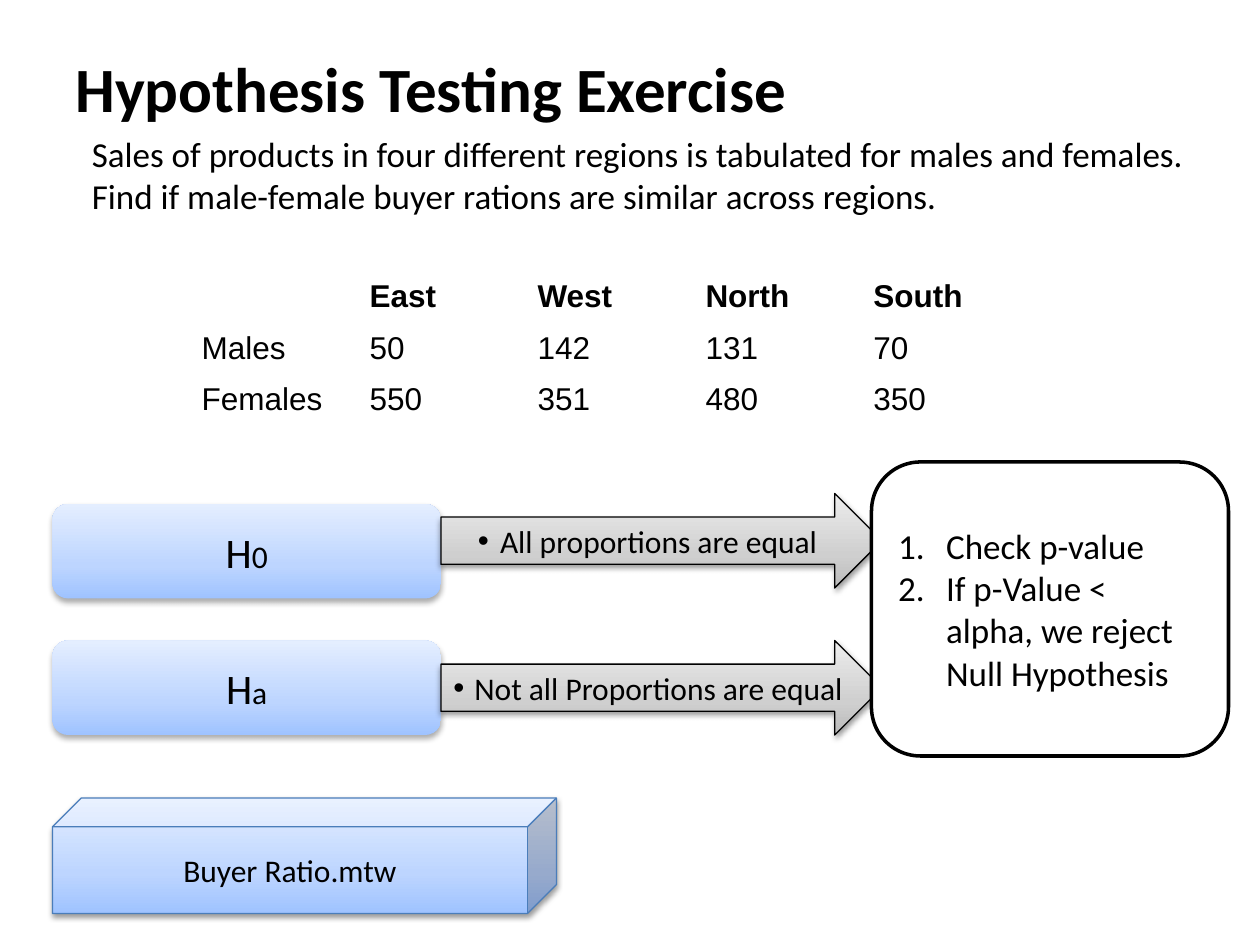
"""Build the hypothesis testing exercise slide."""
import lxml.etree
import copy
import dataclasses
import pptx
import pptx.dml.color
import pptx.enum.shapes
import pptx.enum.text
import pptx.oxml
import pptx.oxml.ns
import pptx.util


@dataclasses.dataclass(frozen=True)
class Theme:
    """Colours, fonts and type sizes."""
    ink: str = "000000"
    paper: str = "FFFFFF"
    edge: str = "4A7DBA"
    blue: tuple = ("9FC3FF", "BDD5FF", "E4EEFF")
    grey: tuple = ("BABABA", "CFCFCF", "EDEDED")
    body_font: str = "Calibri"
    table_font: str = "Arial"
    title: int = 36
    symbol: int = 24
    lead: int = 20
    label: int = 18


theme = Theme()
rgb = pptx.dml.color.RGBColor.from_string
qn = pptx.oxml.ns.qn
kinds = pptx.enum.shapes.MSO_SHAPE
align = pptx.enum.text.PP_ALIGN
middle = pptx.enum.text.MSO_ANCHOR.MIDDLE

deck = pptx.Presentation()
deck.slide_width = pptx.util.Inches(10)
deck.slide_height = pptx.util.Inches(7.5)
cell = deck.slide_width // 120
slide = deck.slides.add_slide(deck.slide_layouts[6])


def style(paragraph, size, font=theme.body_font, bold=False, hang=None, bullet=None):
    """Format the runs, the indent as (margin, first line) and the bullet."""
    for run in paragraph.runs:
        run.font.size = pptx.util.Pt(size)
        run.font.name = font
        run.font.bold = bold
        run.font.color.rgb = rgb(theme.ink)
    properties = paragraph._p.get_or_add_pPr()
    if hang:
        properties.set("marL", str(pptx.util.Inches(hang[0])))
        properties.set("indent", str(pptx.util.Inches(hang[1])))
    if bullet:
        colour = lxml.etree.SubElement(properties, qn("a:buClr"))
        lxml.etree.SubElement(colour, qn("a:srgbClr"), val=theme.ink)
        face = "+mj-lt" if bullet[0] == "a:buAutoNum" else theme.table_font
        lxml.etree.SubElement(properties, qn("a:buFont"), typeface=face)
        lxml.etree.SubElement(properties, qn(bullet[0]), **bullet[1])


def add_block(kind, box, colours, line, shadow=None):
    """Add a shape on the grid; shadow is (opacity %, blur pt, distance pt)."""
    block = slide.shapes.add_shape(kind, *(cell * n for n in box))
    if len(colours) == 1:
        block.fill.solid()
        block.fill.fore_color.rgb = rgb(colours[0])
    else:
        block.fill.gradient()
        block.fill.gradient_angle = 90
        stops = block._element.spPr.find(qn("a:gradFill")).find(qn("a:gsLst"))
        while len(stops) < len(colours):
            stops.append(copy.deepcopy(stops[0]))
        for stop, colour, position in zip(block.fill.gradient_stops, colours, (0, 0.35, 1)):
            stop.color.rgb = rgb(colour)
            stop.position = position
    if line:
        block.line.color.rgb = rgb(line[0])
        block.line.width = pptx.util.Pt(line[1])
    else:
        block.line.fill.background()
    block.shadow.inherit = False
    if shadow:
        opacity, blur, distance = shadow
        outer = lxml.etree.SubElement(
            block._element.spPr.find(qn("a:effectLst")), qn("a:outerShdw"),
            blurRad=str(pptx.util.Pt(blur)), dist=str(pptx.util.Pt(distance)),
            dir="5400000", rotWithShape="0")
        tint = lxml.etree.SubElement(outer, qn("a:srgbClr"), val=theme.ink)
        lxml.etree.SubElement(tint, qn("a:alpha"), val=str(opacity * 1000))
    block.text_frame.word_wrap = True
    block.text_frame.vertical_anchor = middle
    return block


heading = slide.shapes.add_textbox(cell * 6, int(cell * 3.6), cell * 108, int(cell * 9.4))
heading.text_frame.word_wrap = True
heading.text_frame.vertical_anchor = middle
heading.text_frame.text = "Hypothesis Testing Exercise"
style(heading.text_frame.paragraphs[0], theme.title, bold=True)

question = slide.shapes.add_textbox(cell * 3, cell * 12, cell * 117, cell * 78)
question.text_frame.word_wrap = True
question.text_frame.text = (
    "Sales of products in four different regions is tabulated for males and females. "
    "Find if male-female buyer rations are similar across regions.")
style(question.text_frame.paragraphs[0], theme.lead, hang=(0.38, 0))

sales = (
    ("", "East", "West", "North", "South"),
    ("Males", "50", "142", "131", "70"),
    ("Females", "550", "351", "480", "350"),
)
sales_table = slide.shapes.add_table(
    len(sales), len(sales[0]), cell * 18, cell * 26, cell * 80, int(cell * 14.7)).table
sales_table.horz_banding = False
sales_table.first_row = False
for row, values in enumerate(sales):
    for column, value in enumerate(values):
        entry = sales_table.cell(row, column)
        entry.fill.background()
        entry.text_frame.text = value
        style(entry.text_frame.paragraphs[0], theme.label, theme.table_font, bold=row == 0)

hypotheses = (
    ("0", " All proportions are equal", 48, 47),
    ("a", " Not all Proportions are equal", 61, 61),
)
for index, claim, box_top, arrow_top in hypotheses:
    symbol_box = add_block(
        kinds.ROUNDED_RECTANGLE, (5, box_top, 37, 9), theme.blue, None, (32, 3.5, 2.2))
    symbol = symbol_box.text_frame.paragraphs[0]
    symbol.alignment = align.CENTER
    for letter in ("H", index):
        symbol.add_run().text = letter
    style(symbol, theme.symbol)
    symbol.runs[1].font.size = pptx.util.Pt(theme.label)

    arrow = add_block(
        kinds.RIGHT_ARROW, (42, arrow_top, 42, 9), theme.grey, (theme.ink, 0.75), (38, 3.1, 1.6))
    arrow.text_frame.text = claim
    statement = arrow.text_frame.paragraphs[0]
    statement.alignment = align.CENTER
    style(statement, theme.label, hang=(0, -0.12), bullet=("a:buChar", {"char": "•"}))

decision = add_block(
    kinds.ROUNDED_RECTANGLE, (83, 44, 34, 28), (theme.paper,), (theme.ink, 2))
decision.text_frame.text = "Check p-value\nIf p-Value < alpha, we reject Null Hypothesis"
for step in decision.text_frame.paragraphs:
    step.alignment = align.LEFT
    style(step, theme.lead, hang=(0.38, -0.38),
          bullet=("a:buAutoNum", {"type": "arabicPeriod"}))

data_file = add_block(
    kinds.CUBE, (5, 76, 48, 11), theme.blue, (theme.edge, 0.75), (38, 3.1, 1.6))
data_file.text_frame.text = "Buyer Ratio.mtw"
data_file.text_frame.paragraphs[0].alignment = align.CENTER
style(data_file.text_frame.paragraphs[0], theme.label)

deck.save("out.pptx")
